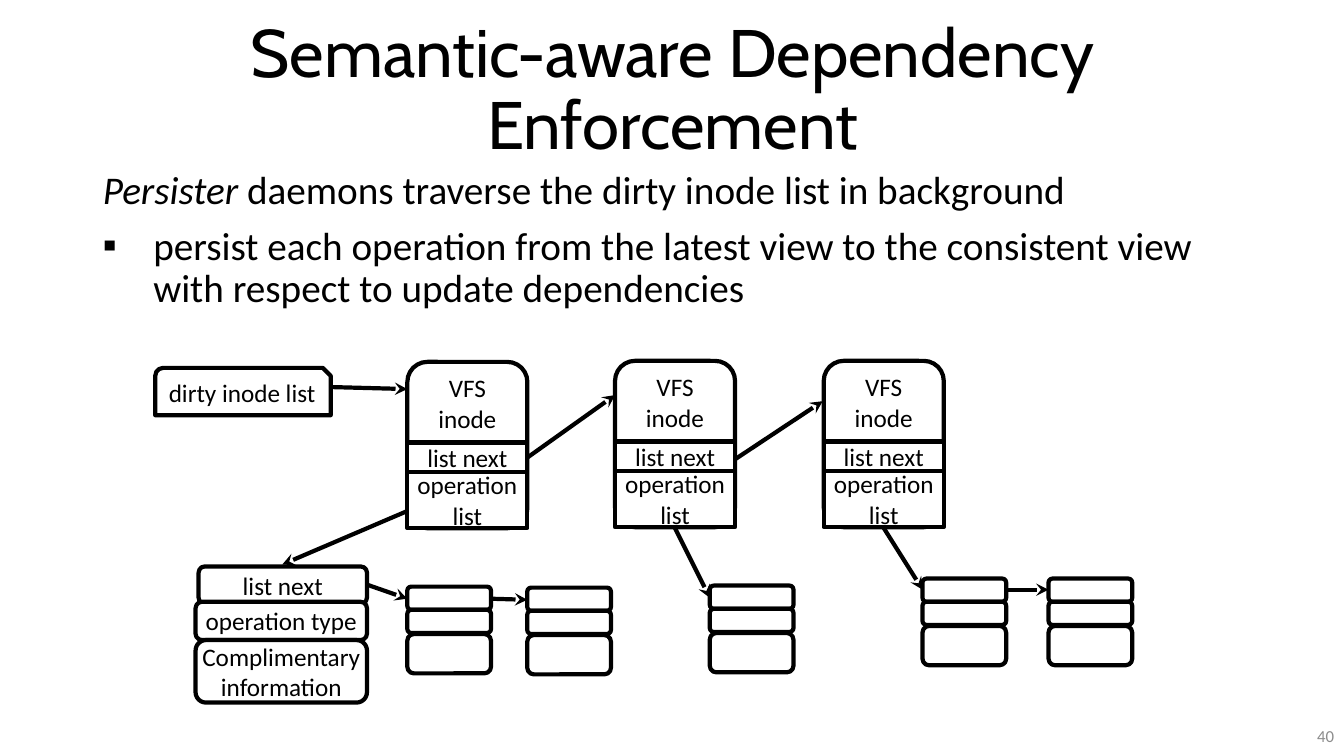
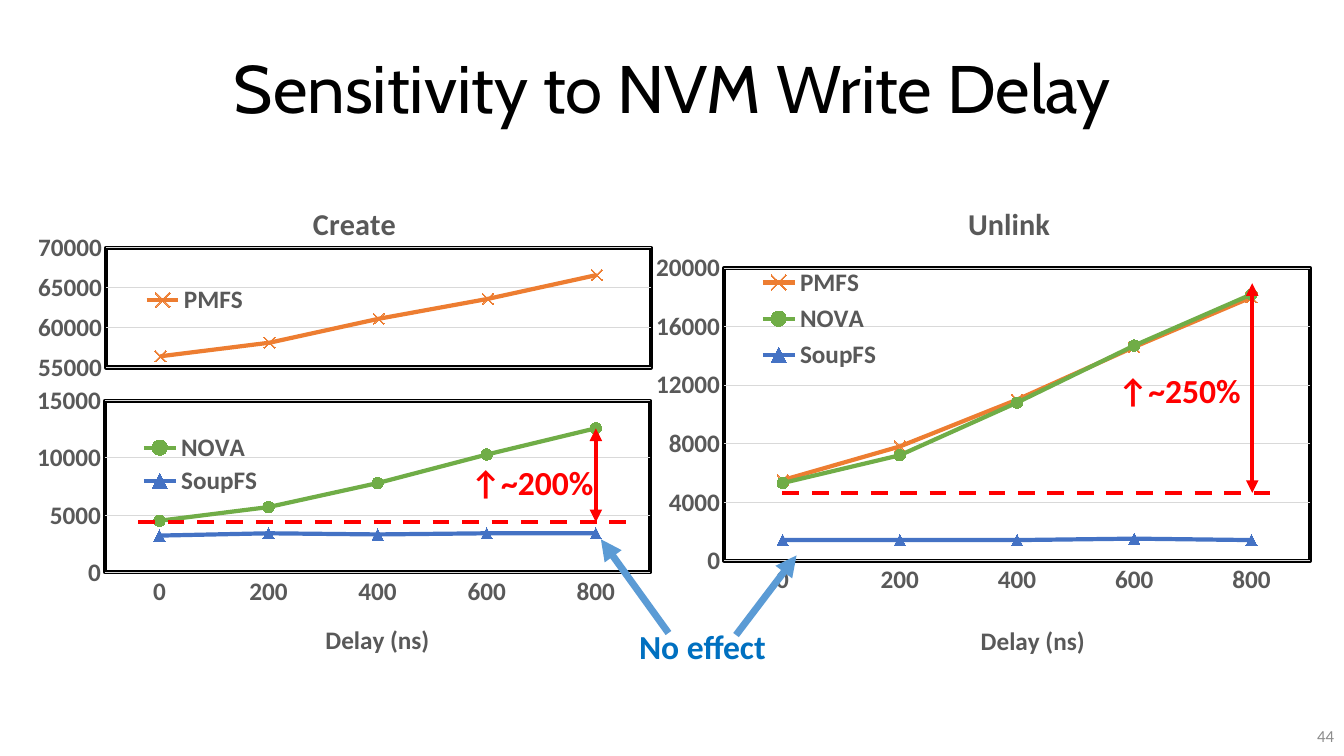
from lxml import etree
from pptx import Presentation
from pptx.chart.data import CategoryChartData
from pptx.dml.color import RGBColor
from pptx.enum.chart import XL_CHART_TYPE as ChartType, XL_LEGEND_POSITION as LegendPosition
from pptx.enum.chart import XL_MARKER_STYLE as Marker, XL_TICK_MARK as TickMark
from pptx.enum.dml import MSO_LINE as Dash
from pptx.enum.shapes import MSO_CONNECTOR as Connector, MSO_SHAPE as Shape
from pptx.enum.text import MSO_ANCHOR as Anchor, MSO_AUTO_SIZE as AutoSize, PP_ALIGN as Align
from pptx.oxml import parse_xml
from pptx.oxml.ns import nsdecls, qn
from pptx.util import Emu, Pt

BLACK = RGBColor(0x00, 0x00, 0x00)
WHITE = RGBColor(0xFF, 0xFF, 0xFF)
GRAY = RGBColor(0x8C, 0x8C, 0x8C)
DARK_GRAY = RGBColor(0x59, 0x59, 0x59)
LIGHT_GRAY = RGBColor(0xD9, 0xD9, 0xD9)
RED = RGBColor(0xFF, 0x00, 0x00)
SKY = RGBColor(0x5B, 0x9B, 0xD5)
DEEP_BLUE = RGBColor(0x00, 0x70, 0xC0)
BLUE = RGBColor(0x44, 0x72, 0xC4)
GREEN = RGBColor(0x70, 0xAD, 0x47)
ORANGE = RGBColor(0xED, 0x7D, 0x31)

DELAYS = ["0", "200", "400", "600", "800"]
SERIES_STYLES = {
    "PMFS": (ORANGE, Marker.X),
    "NOVA": (GREEN, Marker.CIRCLE),
    "SoupFS": (BLUE, Marker.TRIANGLE),
}
NO_FILL = '<c:spPr %s><a:noFill/><a:ln><a:noFill/></a:ln></c:spPr>' % nsdecls("c", "a")
PLOT_BORDER = (
    '<c:spPr %s><a:noFill/><a:ln w="38100"><a:solidFill><a:srgbClr val="000000"/>'
    '</a:solidFill></a:ln></c:spPr>' % nsdecls("c", "a")
)


def px(*lengths):
    return [Emu(length * 9144) for length in lengths]


def style_font(font, size, color=BLACK, bold=False, name="Calibri"):
    font.name, font.size, font.bold = name, Pt(size), bold
    font.color.rgb = color


def set_bullet(paragraph, indent, bullet=None):
    properties = paragraph._p.get_or_add_pPr()
    properties.set("marL", str(indent))
    properties.set("indent", str(-indent))
    if bullet:
        etree.SubElement(properties, qn("a:buFont")).set("typeface", "Calibri")
        etree.SubElement(properties, qn("a:buChar")).set("char", bullet)
    else:
        etree.SubElement(properties, qn("a:buNone"))


def set_layout(element, **fractions):
    for old in element.findall(qn("c:layout")):
        element.remove(old)
    layout = etree.Element(qn("c:layout"))
    manual = etree.SubElement(layout, qn("c:manualLayout"))
    overlay = element.find(qn("c:overlay"))
    values = {"xMode": "edge", "yMode": "edge", **fractions}
    if overlay is None:
        values = {"layoutTarget": "inner", **values}
        element.insert(0, layout)
    else:
        overlay.addprevious(layout)
    for key, value in values.items():
        etree.SubElement(manual, qn("c:" + key)).set("val", str(value))


class Deck:
    def __init__(self):
        self.presentation = Presentation()
        self.presentation.slide_width, self.presentation.slide_height = px(1333, 750)
        self.slide = None

    def add_slide(self, layout, title, number):
        self.slide = self.presentation.slides.add_slide(self.presentation.slide_layouts[layout])
        frame = self.place(self.slide.shapes.title, 92, 40, 1150, 102)
        frame.margin_left = frame.margin_right = 0
        frame.vertical_anchor = Anchor.MIDDLE
        frame.text = title
        paragraph = frame.paragraphs[0]
        paragraph.alignment, paragraph.line_spacing = Align.CENTER, 0.9
        style_font(paragraph.font, 48, name="Cabin")
        self.label(number, 1033, 710, 300, 40, 12, GRAY, False, Align.RIGHT, Anchor.MIDDLE)

    def place(self, shape, left, top, width, height):
        shape.left, shape.top, shape.width, shape.height = px(left, top, width, height)
        shape.text_frame.word_wrap = True
        shape.text_frame.auto_size = AutoSize.NONE
        return shape.text_frame

    def body(self, emphasis, lead, bullet):
        frame = self.place(self.slide.placeholders[1], 92, 164, 1150, 512)
        first, second = frame.paragraphs[0], frame.add_paragraph()
        first.add_run().text = emphasis
        first.runs[0].font.italic = True
        first.add_run().text = lead
        second.text = bullet
        set_bullet(first, 0)
        set_bullet(second, px(50)[0], "▪")
        for paragraph, space in ((first, 0), (second, 10)):
            paragraph.line_spacing, paragraph.space_before = 0.9, Pt(space)
            style_font(paragraph.font, 28)

    def label(self, text, left, top, width, height, size, color, bold=True,
              align=Align.LEFT, anchor=Anchor.TOP):
        frame = self.slide.shapes.add_textbox(*px(left, top, width, height)).text_frame
        frame.word_wrap, frame.vertical_anchor = True, anchor
        frame.text = text
        frame.paragraphs[0].alignment = align
        style_font(frame.paragraphs[0].font, size, color, bold)

    def box(self, kind, left, top, width, height, text="", anchor=Anchor.MIDDLE, tight=False):
        shape = self.slide.shapes.add_shape(kind, *px(left, top, width, height))
        shape.shadow.inherit = False
        shape.fill.solid()
        shape.fill.fore_color.rgb = WHITE
        shape.line.color.rgb, shape.line.width = BLACK, Pt(3)
        if not text:
            return
        frame = shape.text_frame
        frame.word_wrap, frame.vertical_anchor = True, anchor
        if tight:
            frame.margin_left = frame.margin_right = frame.margin_top = frame.margin_bottom = 0
        frame.text = text
        for paragraph in frame.paragraphs:
            paragraph.alignment = Align.CENTER
            style_font(paragraph.font, 18)

    def inode(self, left, top):
        self.box(Shape.ROUNDED_RECTANGLE, left, top, 119, 165, "VFS inode", Anchor.TOP)
        self.box(Shape.RECTANGLE, left, top + 80, 119, 30, "list next")
        self.box(Shape.RECTANGLE, left, top + 109, 119, 56, "operation list")

    def operation(self, left, top):
        for offset, height in ((0, 23), (23, 23), (47, 39)):
            self.box(Shape.ROUNDED_RECTANGLE, left, top + offset, 83, height)

    def line(self, start, end, color=BLACK, width=3, head=None, tail=None, dash=None):
        connector = self.slide.shapes.add_connector(Connector.STRAIGHT, *px(*start, *end))
        etree.SubElement(connector._element.spPr, qn("a:effectLst"))
        connector.line.color.rgb, connector.line.width = color, Pt(width)
        if dash:
            connector.line.dash_style = dash
        outline = connector.line._get_or_add_ln()
        for tag, arrow in (("a:headEnd", head), ("a:tailEnd", tail)):
            if arrow:
                etree.SubElement(outline, qn(tag)).set("type", arrow)

    def chart(self, bounds, values, scale, plot_box, legend_box, title=None,
              title_at=None, axis_title_at=None):
        data = CategoryChartData()
        data.categories = DELAYS
        for name, points in values.items():
            data.add_series(name, points)
        chart = self.slide.shapes.add_chart(ChartType.LINE_MARKERS, *px(*bounds), data).chart
        style_font(chart.font, 18, BLACK, True)
        plot = chart.plots[0]
        plot.vary_by_categories = False
        for series in plot.series:
            color, symbol = SERIES_STYLES[series.name]
            series.smooth = False
            series.format.line.color.rgb, series.format.line.width = color, Pt(3)
            series.marker.style, series.marker.size = symbol, 8
            series.marker.format.line.color.rgb = color
            if symbol == Marker.X:
                series.marker.format.fill.background()
            else:
                series.marker.format.fill.solid()
                series.marker.format.fill.fore_color.rgb = color

        category_axis, value_axis = chart.category_axis, chart.value_axis
        for axis in (category_axis, value_axis):
            axis.major_tick_mark = axis.minor_tick_mark = TickMark.NONE
            style_font(axis.tick_labels.font, 18, DARK_GRAY, True)
        value_axis.minimum_scale, value_axis.maximum_scale, value_axis.major_unit = scale
        value_axis.tick_labels.number_format = "General"
        value_axis.tick_labels.number_format_is_linked = False
        value_axis.format.line.fill.background()
        for thin_line in (category_axis.format.line, value_axis.major_gridlines.format.line):
            thin_line.color.rgb, thin_line.width = LIGHT_GRAY, Pt(0.75)

        chart.has_title = bool(title)
        if title:
            self.chart_title(chart.chart_title, title, 21.6, title_at)
            self.chart_title(category_axis.axis_title, "Delay (ns)", 18, axis_title_at)
        else:
            category_axis.visible = False

        chart.has_legend = True
        chart.legend.position = LegendPosition.CORNER
        chart.legend.include_in_layout = True
        style_font(chart.legend.font, 18, DARK_GRAY, True)
        for element, layout in ((chart._chartSpace.chart.plotArea, plot_box),
                                (chart.legend._element, legend_box)):
            set_layout(element, **dict(zip("xywh", layout)))
        chart._chartSpace.chart.plotArea.append(parse_xml(PLOT_BORDER))
        chart._chartSpace.chart.addnext(parse_xml(NO_FILL))

    def chart_title(self, title, text, size, position):
        title.text_frame.text = text
        style_font(title.text_frame.paragraphs[0].font, size, DARK_GRAY, True)
        set_layout(title._element, **dict(zip("xy", position)))


def dependency_slide(deck):
    deck.add_slide(1, "Semantic-aware Dependency Enforcement", "40")
    deck.body("Persister", " daemons traverse the dirty inode list in background",
              "persist each operation from the latest view to the consistent view "
              "with respect to update dependencies")
    deck.box(Shape.SNIP_ROUND_RECTANGLE, 154, 365, 174, 47, "dirty inode list")
    for left, top in ((404, 359), (610, 358), (817, 358)):
        deck.inode(left, top)
    for left, top, width, height, text in (
        (197, 562, 167, 37, "list next"),
        (194, 597, 170, 38, "operation type"),
        (194, 635, 170, 62, "Complimentary\ninformation"),
    ):
        deck.box(Shape.ROUNDED_RECTANGLE, left, top, width, height, text, tight=True)
    for left, top in ((404, 582), (523, 583), (704, 581), (915, 574), (1040, 574)):
        deck.operation(left, top)
    for start, end in (
        ((328, 384), (404, 386)),
        ((523, 454), (610, 392)),
        ((730, 455), (816, 398)),
        ((404, 507), (280, 560)),
        ((364, 580), (404, 594)),
        ((487, 594), (523, 595)),
        ((669, 523), (704, 593)),
        ((876, 523), (915, 585)),
        ((998, 585), (1040, 585)),
    ):
        deck.line(start, end, tail="stealth")


def sensitivity_slide(deck):
    deck.add_slide(5, "Sensitivity to NVM Write Delay", "44")
    deck.chart((0, 171, 663, 491),
               {"NOVA": (4500, 5700, 7800, 10300, 12600),
                "SoupFS": (3200, 3400, 3300, 3400, 3400)},
               (0, 15000, 5000), (0.157, 0.462, 0.816, 0.346), (0.2, 0.52, 0.2, 0.14),
               "Create", (0.46, 0.05), (0.48, 0.9))
    deck.chart((637, 171, 676, 492),
               {"PMFS": (5500, 7800, 11000, 14600, 18000),
                "NOVA": (5300, 7200, 10800, 14700, 18200),
                "SoupFS": (1400, 1400, 1400, 1500, 1400)},
               (0, 20000, 4000), (0.12, 0.193, 0.86, 0.59), (0.16, 0.18, 0.2, 0.23),
               "Unlink", (0.47, 0.05), (0.49, 0.9))
    deck.line((730, 630), (790, 551), SKY, 5, tail="triangle")
    deck.label("No effect", 624, 616, 160, 50, 24, DEEP_BLUE)
    deck.line((663, 628), (596, 535), SKY, 5, tail="triangle")
    deck.chart((1, 231, 663, 157), {"PMFS": (56400, 58100, 61100, 63600, 66600)},
               (55000, 70000, 5000), (0.157, 0.09, 0.816, 0.76), (0.2, 0.3, 0.18, 0.24))
    for left, right, level in ((137, 624, 518), (776, 1266, 489)):
        deck.line((left, level), (right, level), RED, dash=Dash.DASH)
    for text, left, top, arrow, start, end in (
        ("↑~200%", 457, 453, 591, 425, 518),
        ("↑~250%", 1099, 362, 1242, 281, 489),
    ):
        deck.line((arrow, start), (arrow, end), RED, head="triangle", tail="triangle")
        deck.label(text, left, top, 143, 50, 24, RED)


def main():
    deck = Deck()
    dependency_slide(deck)
    sensitivity_slide(deck)
    deck.presentation.save("out.pptx")


if __name__ == "__main__":
    main()
